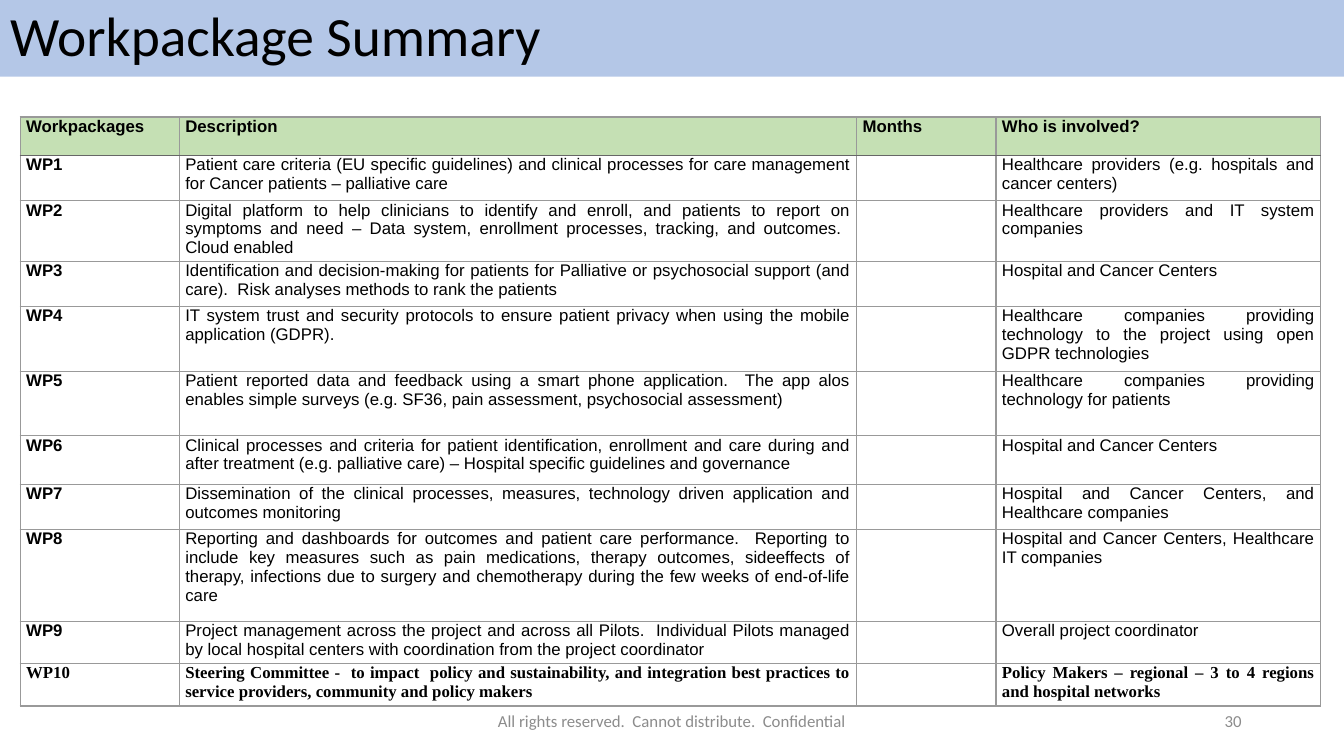
"""Build the workpackage summary slide."""
import lxml.etree
import pptx
import pptx.dml.color
import pptx.enum.text
import pptx.oxml.ns
import pptx.util

Cm = pptx.util.Cm
Align = pptx.enum.text.PP_ALIGN
Anchor = pptx.enum.text.MSO_ANCHOR


def color(value):
    return pptx.dml.color.RGBColor.from_string(value)


def write(paragraph, text, align, size, font, text_color, bold=False):
    paragraph.alignment = align
    run = paragraph.add_run()
    run.text = text
    run.font.size = pptx.util.Pt(size)
    run.font.name = font
    run.font.bold = bold
    run.font.color.rgb = color(text_color)


presentation = pptx.Presentation()
presentation.slide_width = Cm(33.87)
presentation.slide_height = Cm(19.05)
slide = presentation.slides.add_slide(presentation.slide_layouts[5])

title = slide.shapes.title
title.left, title.top, title.width, title.height = Cm(0), Cm(0), Cm(33.87), Cm(1.93)
title.fill.solid()
title.fill.fore_color.rgb = color("B4C7E7")
title.text_frame.auto_size = pptx.enum.text.MSO_AUTO_SIZE.NONE
title.text_frame.vertical_anchor = Anchor.MIDDLE
title.text_frame.paragraphs[0].line_spacing = 0.9
write(title.text_frame.paragraphs[0], "Workpackage Summary", Align.LEFT, 39.6, "Calibri", "000000")

footers = [
    (11.22, 11.43, Align.CENTER, "All rights reserved.  Cannot distribute.  Confidential"),
    (23.92, 7.62, Align.RIGHT, "30"),
]
for left, width, align, text in footers:
    footer = slide.shapes.add_textbox(Cm(left), Cm(17.65), Cm(width), Cm(1.02))
    footer.text_frame.word_wrap = True
    footer.text_frame.vertical_anchor = Anchor.MIDDLE
    write(footer.text_frame.paragraphs[0], text, align, 12, "Calibri", "8C8C8C")

column_widths = [4.01, 17.07, 3.51, 8.18]
workpackages = [
    (0.97, "Workpackages", "Description", "Months", "Who is involved?"),
    (1.14, "WP1",
     "Patient care criteria (EU specific guidelines) and clinical processes for care management "
     "for Cancer patients – palliative care", "",
     "Healthcare providers (e.g. hospitals and cancer centers)"),
    (1.07, "WP2",
     "Digital platform to help clinicians to identify and enroll, and patients to report on "
     "symptoms and need – Data system, enrollment processes, tracking, and outcomes.  "
     "Cloud enabled", "",
     "Healthcare providers and IT system companies"),
    (1.14, "WP3",
     "Identification and decision-making for patients for Palliative or psychosocial support "
     "(and care).  Risk analyses methods to rank the patients", "",
     "Hospital and Cancer Centers"),
    (1.63, "WP4",
     "IT system trust and security protocols to ensure patient privacy when using the mobile "
     "application (GDPR).", "",
     "Healthcare companies providing technology to the project using open GDPR technologies"),
    (1.63, "WP5",
     "Patient reported data and feedback using a smart phone application.  The app alos "
     "enables simple surveys (e.g. SF36, pain assessment, psychosocial assessment)", "",
     "Healthcare companies providing technology for patients"),
    (1.22, "WP6",
     "Clinical processes and criteria for patient identification, enrollment and care during "
     "and after treatment (e.g. palliative care) – Hospital specific guidelines and governance",
     "", "Hospital and Cancer Centers"),
    (1.14, "WP7",
     "Dissemination of the clinical processes, measures, technology driven application and "
     "outcomes monitoring", "",
     "Hospital and Cancer Centers, and Healthcare companies"),
    (2.31, "WP8",
     "Reporting and dashboards for outcomes and patient care performance.  Reporting to "
     "include key measures such as pain medications, therapy outcomes, sideeffects of therapy, "
     "infections due to surgery and chemotherapy during the few weeks of end-of-life care", "",
     "Hospital and Cancer Centers, Healthcare IT companies"),
    (1.07, "WP9",
     "Project management across the project and across all Pilots.  Individual Pilots managed "
     "by local hospital centers with coordination from the project coordinator", "",
     "Overall project coordinator"),
    (1.07, "WP10",
     "Steering Committee -  to impact  policy and sustainability, and integration best "
     "practices to service providers, community and policy makers", "",
     "Policy Makers – regional – 3 to 4 regions and hospital networks"),
]
last_row = len(workpackages) - 1
table = slide.shapes.add_table(
    len(workpackages), len(column_widths), Cm(0.51), Cm(2.95),
    Cm(sum(column_widths)), Cm(sum(row[0] for row in workpackages))).table
table.first_row = False
table.horz_banding = False
for column, width in zip(table.columns, column_widths):
    column.width = Cm(width)

for row_index, (height, *texts) in enumerate(workpackages):
    table.rows[row_index].height = Cm(height)
    for column_index, text in enumerate(texts):
        cell = table.cell(row_index, column_index)
        cell.margin_left = cell.margin_right = Cm(0.15)
        cell.margin_top = cell.margin_bottom = Cm(0)
        properties = cell._tc.get_or_add_tcPr()
        for side in ("L", "R", "T", "B"):
            under_header = (row_index, side) in [(0, "B"), (1, "T")]
            line_color, points = ("666666", 1.5) if under_header else ("999999", 1)
            border = lxml.etree.SubElement(
                properties, pptx.oxml.ns.qn("a:ln" + side), w=str(pptx.util.Pt(points)))
            fill = lxml.etree.SubElement(border, pptx.oxml.ns.qn("a:solidFill"))
            lxml.etree.SubElement(fill, pptx.oxml.ns.qn("a:srgbClr"), val=line_color)
        if row_index == 0:
            cell.fill.solid()
            cell.fill.fore_color.rgb = color("C5E0B4")
        else:
            cell.fill.background()
        paragraph = cell.text_frame.paragraphs[0]
        if text:
            font = "Times New Roman" if row_index == last_row else "Arial"
            bold = row_index in (0, last_row) or column_index == 0
            write(paragraph, text, Align.JUSTIFY, 12, font, "000000", bold)
        else:
            paragraph.font.size = pptx.util.Pt(12)

presentation.save("out.pptx")
